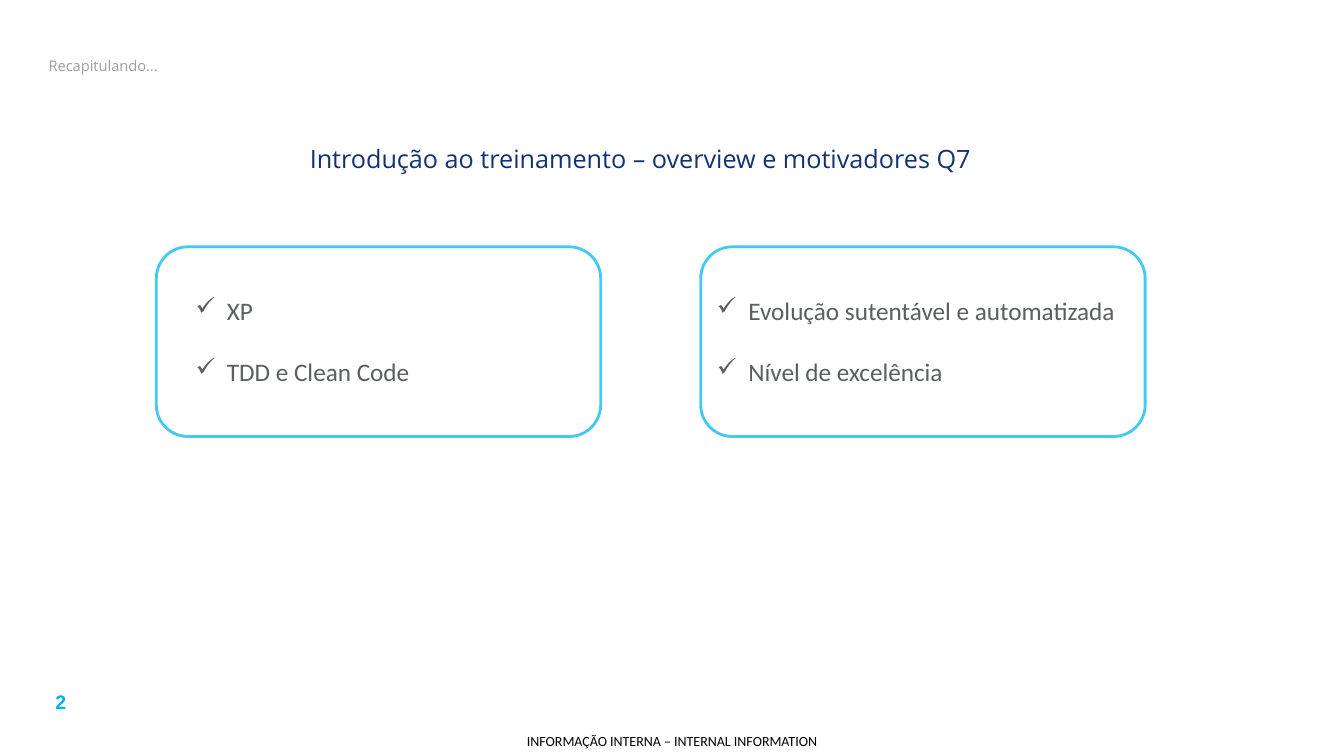
from lxml import etree
from pptx import Presentation
from pptx.dml.color import RGBColor
from pptx.enum.shapes import MSO_SHAPE
from pptx.enum.text import MSO_ANCHOR, MSO_AUTO_SIZE, PP_ALIGN
from pptx.oxml.ns import qn
from pptx.util import Cm, Pt

ROUNDED = MSO_SHAPE.ROUNDED_RECTANGLE
MIDDLE, TOP = MSO_ANCHOR.MIDDLE, MSO_ANCHOR.TOP
LEFT, CENTER = PP_ALIGN.LEFT, PP_ALIGN.CENTER
NO_AUTOFIT = MSO_AUTO_SIZE.NONE
TITLE_ONLY = 5

COLORS = {
    "paper": "FFFFFF", "border": "46C8F5", "heading": "123274", "title": "9BA0A0",
    "item": "5A5F5F", "number": "00B0F0", "notice": "000000",
}
FONTS = {
    "title": {"name": "Open Sans", "size": Pt(10.5), "bold": False},
    "heading": {"name": "Open Sans", "size": Pt(18)},
    "item": {"name": "Calibri", "size": Pt(18)},
    "number": {"name": "Arial", "size": Pt(14), "bold": True},
    "notice": {"name": "Calibri", "size": Pt(10)},
}
INSETS = ("margin_left", "margin_top", "margin_right", "margin_bottom")
CARD_SIZE = (11.2, 4.78)
CARD_LEFT, CARD_TOP, CARD_PITCH = 3.94, 6.22, 13.72
CARDS = [
    (["XP", "TDD e Clean Code"], 0.99),
    (["Evolução sutentável e automatizada", "Nível de excelência"], 0.41),
]
LIST_TOP, LIST_HEIGHT = 1.22, 3.07
BULLET_INDENT = Cm(0.79)


def set_all(target, values):
    """Set every named attribute on the target."""
    for name, value in values.items():
        setattr(target, name, value)


def place(shape, box):
    """Move a shape to a (left, top, width, height) box in centimetres."""
    set_all(shape, dict(zip(("left", "top", "width", "height"), map(Cm, box))))


def write(shape, lines, role, align=LEFT, anchor=TOP, flush=False):
    """Write one paragraph per line in the style of the role."""
    frame = shape.text_frame
    set_all(frame, {"word_wrap": True, "auto_size": NO_AUTOFIT, "vertical_anchor": anchor})
    if flush:
        set_all(frame, dict.fromkeys(INSETS, 0))
    frame.text = "\n".join(lines)
    for para in frame.paragraphs:
        para.alignment = align
        span = para.runs[0]
        set_all(span.font, FONTS[role])
        span.font.color.rgb = RGBColor.from_string(COLORS[role])
    return frame


def add_text(page, box, lines, role, **layout):
    """Add a text box and return its text frame."""
    return write(page.shapes.add_textbox(*map(Cm, box)), lines, role, **layout)


def add_check(para):
    """Give a paragraph a check mark and a hanging indent."""
    properties = para._p.get_or_add_pPr()
    properties.set("marL", str(BULLET_INDENT))
    properties.set("indent", str(-BULLET_INDENT))
    etree.SubElement(properties, qn("a:buChar")).set("char", "✓")


def add_card(page, box, items, list_inset):
    """Draw a rounded card with a checked list inside its box."""
    left, top, width, height = box
    card = page.shapes.add_shape(ROUNDED, *map(Cm, box))
    card.shadow.inherit = False
    card.fill.solid()
    card.fill.fore_color.rgb = RGBColor.from_string(COLORS["paper"])
    card.line.color.rgb = RGBColor.from_string(COLORS["border"])
    card.line.width = Pt(2)

    list_box = (left + list_inset, top + LIST_TOP, width - 2 * list_inset, LIST_HEIGHT)
    frame = add_text(page, list_box, items, "item", flush=True)
    for index, para in enumerate(frame.paragraphs):
        para.space_before = Pt(22 if index else 0)
        add_check(para)


def add_header(page, box):
    """Fill the title and the centred heading below it."""
    left, top, width, height = box
    title = page.shapes.title
    place(title, (left, top, width, 1.22))
    write(title, ["Recapitulando..."], "title", anchor=MIDDLE)
    add_text(page, (left, top + 2.08, width + 0.24, 1.75),
             ["Introdução ao treinamento – overview e motivadores Q7"],
             "heading", align=CENTER, anchor=MIDDLE)


def add_footer(page, box):
    """Add the page number and the classification notice."""
    left, top, width, height = box
    add_text(page, (left, top, 2.01, 0.86), ["2"], "number", align=CENTER)
    add_text(page, (left, top + 1.04, width, 0.74),
             ["INFORMAÇÃO INTERNA – INTERNAL INFORMATION"],
             "notice", align=CENTER, anchor=MIDDLE, flush=True)


def build_recap(deck):
    """Build the recap slide with its two cards."""
    page = deck.slides.add_slide(deck.slide_layouts[TITLE_ONLY])
    add_header(page, (0.97, 1.04, 30.1, 3.83))
    for index, (items, list_inset) in enumerate(CARDS):
        box = (CARD_LEFT + index * CARD_PITCH, CARD_TOP, *CARD_SIZE)
        add_card(page, box, items, list_inset)
    add_footer(page, (0.53, 17.27, 32.81, 1.78))


deck = Presentation()
set_all(deck, {"slide_width": Cm(33.87), "slide_height": Cm(19.05)})
build_recap(deck)
deck.save("out.pptx")
